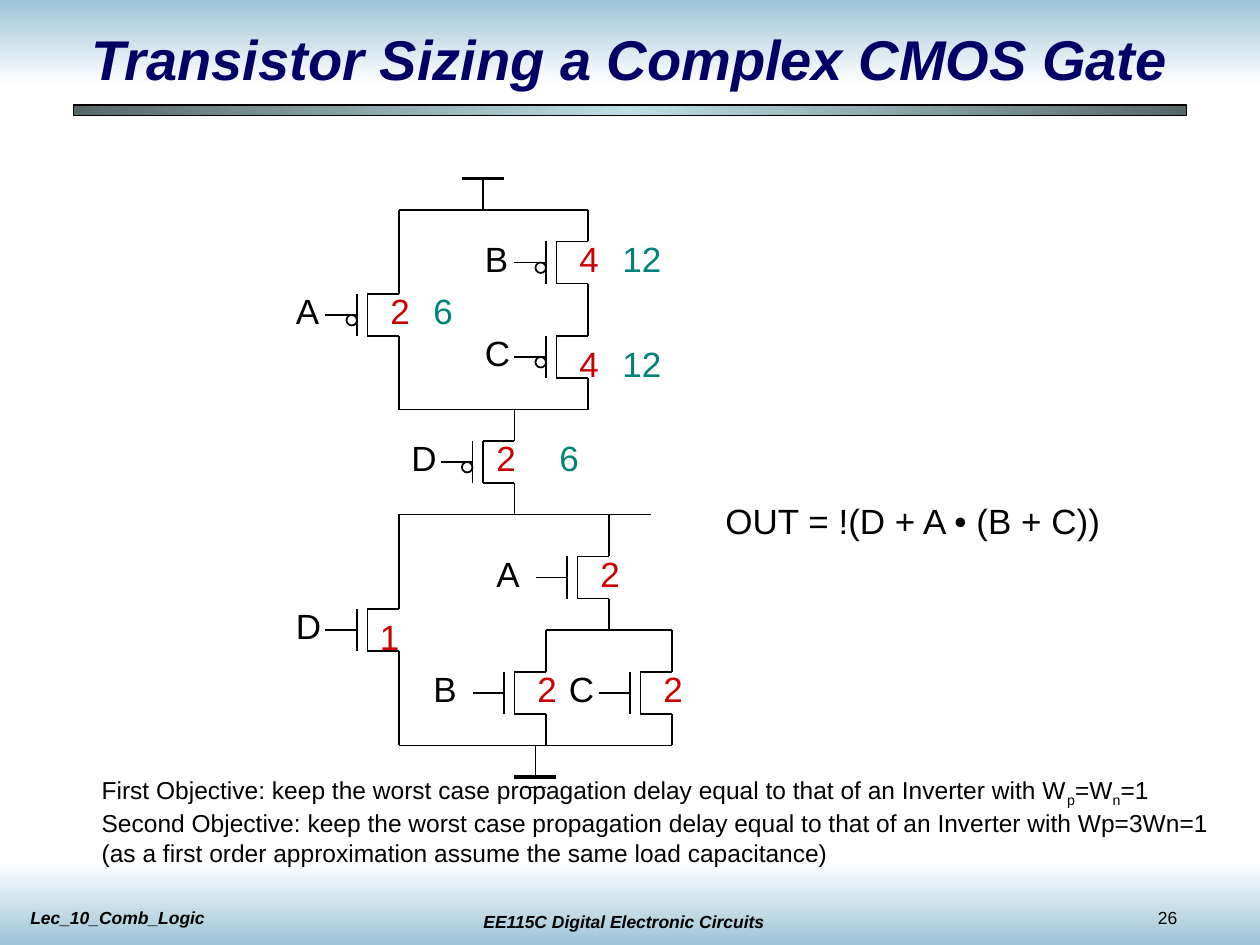
from copy import deepcopy

from lxml import etree
from pptx import Presentation
from pptx.dml.color import RGBColor
from pptx.enum.shapes import MSO_CONNECTOR, MSO_SHAPE
from pptx.enum.text import MSO_ANCHOR, PP_ALIGN
from pptx.oxml.ns import qn
from pptx.util import Pt

STRAIGHT = MSO_CONNECTOR.STRAIGHT
RECTANGLE, OVAL = MSO_SHAPE.RECTANGLE, MSO_SHAPE.OVAL
LEFT, CENTER = PP_ALIGN.LEFT, PP_ALIGN.CENTER
TOP, MIDDLE = MSO_ANCHOR.TOP, MSO_ANCHOR.MIDDLE

PX = 7620
WIDTH, HEIGHT = 1200, 900
BLACK, NAVY, RED, TEAL = "000000", "000066", "CC0000", "008276"
SKY, WHITE, SLATE, AQUA = "9DC4D7", "FFFFFF", "566768", "BBE0E3"

TITLE = "Transistor Sizing a Complex CMOS Gate"
LECTURE = "Lec_10_Comb_Logic"
COURSE = "EE115C Digital Electronic Circuits"
PAGE = "26"
EQUATION = "OUT = !(D + A • (B + C))"
OBJECTIVES = [
    [("First Objective: keep the worst case propagation delay equal to that of an Inverter with W", 0),
     ("p", -25), ("=W", 0), ("n", -25), ("=1", 0)],
    "Second Objective: keep the worst case propagation delay equal to that of an Inverter with Wp=3Wn=1",
    "(as a first order approximation assume the same load capacitance)",
]

NMOS_DRAINS = [(380, 580), (520, 640), (640, 640), (580, 530)]
PMOS_DRAINS = [(490, 420), (380, 280), (560, 230), (560, 320)]

WIRES = [
    (380, 710, 640, 710), (380, 620, 380, 710), (520, 600, 520, 640),
    (640, 600, 640, 640), (520, 600, 640, 600), (580, 490, 580, 530),
    (380, 490, 620, 490), (380, 490, 380, 580), (510, 710, 510, 740),
    (380, 340, 380, 390), (380, 200, 380, 260), (380, 390, 560, 390),
    (380, 200, 560, 200), (460, 170, 460, 200), (500, 750, 520, 750),
]
RAILS = [(440, 170, 480, 170), (490, 740, 530, 740)]

LABEL_WIDTHS = {"A": 46, "B": 46, "C": 48, "D": 48, "12": 61}
DIGIT_WIDTH = 42
LABELS = {
    BLACK: [("D", 270, 570), ("A", 461, 520), ("B", 401, 630), ("C", 530, 630),
            ("D", 380, 410), ("A", 270, 270), ("B", 450, 220), ("C", 450, 310)],
    RED: [("1", 350, 580), ("2", 560, 520), ("2", 500, 630), ("2", 620, 630),
          ("2", 461, 410), ("2", 360, 270), ("4", 540, 320), ("4", 540, 220)],
    TEAL: [("6", 521, 410), ("6", 401, 270), ("12", 581, 220), ("12", 581, 320)],
}

prs = Presentation()
prs.slide_width, prs.slide_height = WIDTH * PX, HEIGHT * PX
slide = prs.slides.add_slide(prs.slide_layouts[6])


def rgb(value):
    return RGBColor.from_string(value)


def emu(*lengths):
    return [length * PX for length in lengths]


def add_text(paragraphs, box, size=20, color=BLACK, bold=False, italic=False,
             align=LEFT, anchor=TOP, wrap=False):
    frame = slide.shapes.add_textbox(*emu(*box)).text_frame
    frame.word_wrap = wrap
    frame.vertical_anchor = anchor
    for index, content in enumerate(paragraphs):
        paragraph = frame.add_paragraph() if index else frame.paragraphs[0]
        paragraph.alignment = align
        for words, baseline in [(content, 0)] if isinstance(content, str) else content:
            run = paragraph.add_run()
            run.text = words
            font = run.font
            font.name, font.size = "Arial", Pt(size)
            font.bold, font.italic = bold, italic
            font.color.rgb = rgb(color)
            if baseline:
                run._r.get_or_add_rPr().set("baseline", str(baseline * 1000))


def add_band(box, colors, angle, outlined=False):
    band = slide.shapes.add_shape(RECTANGLE, *emu(*box))
    band.shadow.inherit = False
    band.fill.gradient()
    band.fill.gradient_angle = angle
    stop_list = band._element.spPr.find(".//" + qn("a:gsLst"))
    while len(stop_list) < len(colors):
        stop_list.append(deepcopy(stop_list[0]))
    for index, (stop, color) in enumerate(zip(band.fill.gradient_stops, colors)):
        stop.position = index / (len(colors) - 1)
        stop.color.rgb = rgb(color)
    if outlined:
        band.line.color.rgb = rgb(BLACK)
        band.line.width = Pt(0.75)
    else:
        band.line.fill.background()


def add_wire(shapes, ends, weight=1):
    wire = shapes.add_connector(STRAIGHT, *emu(*ends))
    wire.line.color.rgb = rgb(BLACK)
    wire.line.width = Pt(weight)
    etree.SubElement(wire._element.spPr, qn("a:effectLst"))


def add_transistor(x, y, pmos=False):
    parts = slide.shapes.add_group_shape().shapes
    channel, gate, middle, bottom = x - 30, x - 40, y + 20, y + 40
    leads = [
        (channel, y, x, y), (channel, y, channel, bottom),
        (channel, bottom, x, bottom), (gate, y, gate, bottom),
        (x, bottom, x, bottom + 30), (gate - 30, middle, gate, middle),
    ]
    if pmos:
        leads.append((x, y - 30, x, y))
        bubble = parts.add_shape(OVAL, *emu(gate - 10, middle, 10, 10))
        bubble.shadow.inherit = False
        bubble.fill.background()
        bubble.line.color.rgb = rgb(BLACK)
        bubble.line.width = Pt(1)
    for lead in leads:
        add_wire(parts, lead)


add_band((0, 0, WIDTH, 80), [SKY, WHITE], 270)
add_band((0, HEIGHT - 80, WIDTH, 80), [WHITE, SKY], 270)
add_band((70, 100, 1060, 10), [SLATE, AQUA, SLATE], 180, outlined=True)

add_text([COURSE], (424, 862, 340, 32), size=10, bold=True, italic=True, align=CENTER, wrap=True)
add_text([PAGE], (1091, 858, 100, 32), size=10)
add_text([LECTURE], (17, 858, 340, 32), size=10, bold=True, italic=True, wrap=True)
add_text([TITLE], (0, 20, WIDTH, 70), size=32, color=NAVY, bold=True, italic=True,
         align=CENTER, anchor=MIDDLE, wrap=True)

for drain in NMOS_DRAINS:
    add_transistor(*drain)
for drain in PMOS_DRAINS:
    add_transistor(*drain, pmos=True)
for wire_ends in WIRES:
    add_wire(slide.shapes, wire_ends)
for rail_ends in RAILS:
    add_wire(slide.shapes, rail_ends, weight=2.25)

for label_color, labels in LABELS.items():
    for label, left, top in labels:
        add_text([label], (left, top, LABEL_WIDTHS.get(label, DIGIT_WIDTH), 53), color=label_color)

add_text([EQUATION], (679, 470, 385, 53))
add_text(OBJECTIVES, (85, 732, 1079, 101), size=14)

prs.save("out.pptx")
